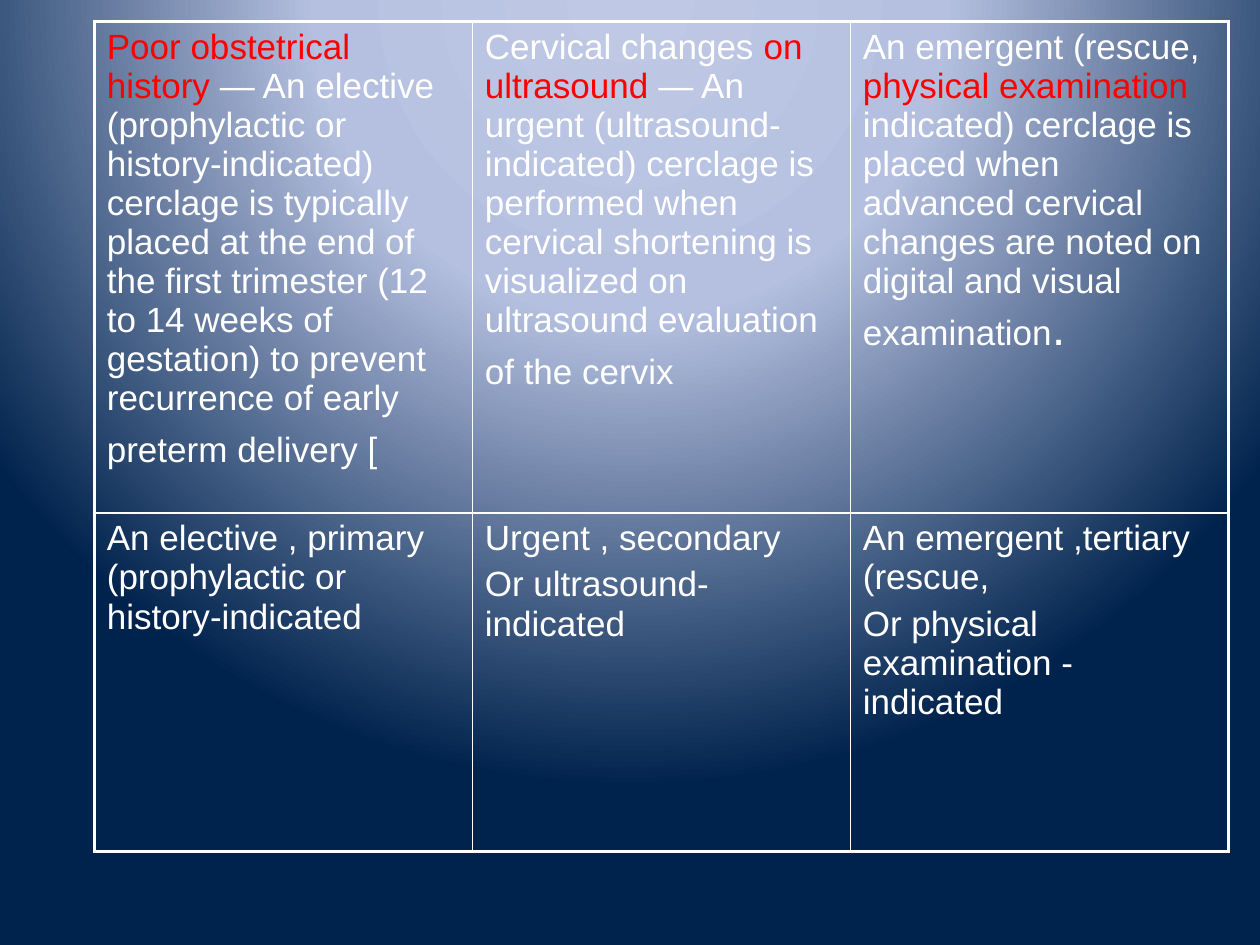
import lxml.etree
import pptx
import pptx.dml.color
import pptx.oxml
import pptx.oxml.ns
import pptx.util

Cm, Pt = pptx.util.Cm, pptx.util.Pt
WHITE, RED = "FFFFFF", "FF0000"
GRADIENT_STOPS = [(0, "BFC9E5"), (40, "B5C0E0"), (100, "00234D")]
THICK, THIN = 2.25, 1

ROWS = [
    [
        [[("Poor obstetrical history", RED, 20),
          (" — An elective (prophylactic or history-indicated) cerclage is typically placed "
           "at the end of the first trimester (12 to 14 weeks of gestation) to prevent "
           "recurrence of early preterm delivery [", WHITE, 20),
          (" ", WHITE, 28)]],
        [[("Cervical changes ", WHITE, 20),
          ("on ultrasound", RED, 20),
          (" — An urgent (ultrasound-indicated) cerclage is performed when cervical "
           "shortening is visualized on ultrasound evaluation of the cervix", WHITE, 20),
          (" ", WHITE, 28)]],
        [[("An emergent (rescue, ", WHITE, 20),
          ("physical examination", RED, 20),
          (" indicated) cerclage is placed when advanced cervical changes are noted on "
           "digital and visual examination", WHITE, 20),
          (".", WHITE, 28)]],
    ],
    [
        [[("An elective , primary (prophylactic or history-indicated", WHITE, 20)]],
        [[("Urgent , secondary", WHITE, 20)],
         [("Or ultrasound-indicated", WHITE, 20)]],
        [[("An emergent ,tertiary (rescue,", WHITE, 20)],
         [("Or physical examination - indicated", WHITE, 20)]],
    ],
]


def color(value):
    """Turn a hex string into a colour."""
    return pptx.dml.color.RGBColor.from_string(value)


def paint_background(page):
    """Fill the page with a circular gradient centred above its top edge."""
    page.background.fill.gradient()
    old = page.element.find(".//" + pptx.oxml.ns.qn("a:gradFill"))
    stops = "".join(
        f'<a:gs pos="{position * 1000}"><a:srgbClr val="{value}"/></a:gs>'
        for position, value in GRADIENT_STOPS
    )
    gradient = pptx.oxml.parse_xml(
        f'<a:gradFill {pptx.oxml.ns.nsdecls("a")} rotWithShape="1"><a:gsLst>{stops}</a:gsLst>'
        '<a:path path="circle"><a:fillToRect l="50000" t="-80000" r="50000" b="180000"/>'
        "</a:path></a:gradFill>"
    )
    old.getparent().replace(old, gradient)


def draw_borders(cell, widths):
    """Draw white cell borders from a dict of side letters and widths in points."""
    properties = cell._tc.get_or_add_tcPr()
    for side, width in widths.items():
        line = lxml.etree.SubElement(
            properties, pptx.oxml.ns.qn(f"a:ln{side}"), w=str(int(Pt(width)))
        )
        fill = lxml.etree.SubElement(line, pptx.oxml.ns.qn("a:solidFill"))
        lxml.etree.SubElement(fill, pptx.oxml.ns.qn("a:srgbClr"), val=WHITE)


def write_cell(cell, paragraphs):
    """Write the paragraphs of coloured spans into a cell."""
    frame = cell.text_frame
    for index, spans in enumerate(paragraphs):
        para = frame.add_paragraph() if index else frame.paragraphs[0]
        para.space_before = Pt(4 if index else 0)
        for text, shade, size in spans:
            span = para.add_run()
            span.text = text
            for name, value in {"name": "Arial", "size": Pt(size), "bold": False}.items():
                setattr(span.font, name, value)
            span.font.color.rgb = color(shade)


def build_table(page, left, top, width, heights):
    """Place the cerclage table with a thick frame and thin inner lines."""
    row_count, column_count = len(ROWS), len(ROWS[0])
    table = page.shapes.add_table(
        row_count, column_count, left, top, width, sum(heights)
    ).table
    for name in ("first_row", "horz_banding"):
        setattr(table, name, False)
    for row, height in zip(table.rows, heights):
        row.height = height
    for column in table.columns:
        column.width = width // column_count
    for r, cells in enumerate(ROWS):
        for c, paragraphs in enumerate(cells):
            cell = table.cell(r, c)
            outer = {
                "L": c == 0,
                "R": c == column_count - 1,
                "T": r == 0,
                "B": r == row_count - 1,
            }
            draw_borders(cell, {side: THICK if edge else THIN for side, edge in outer.items()})
            cell.fill.background()
            write_cell(cell, paragraphs)


def main():
    """Build the deck and save it."""
    deck = pptx.Presentation()
    deck.slide_width, deck.slide_height = Cm(25.4), Cm(19.05)
    page = deck.slides.add_slide(deck.slide_layouts[6])
    paint_background(page)
    build_table(page, Cm(1.9), Cm(0.43), Cm(22.86), [Cm(9.91), Cm(6.83)])
    deck.save("out.pptx")


if __name__ == "__main__":
    main()
